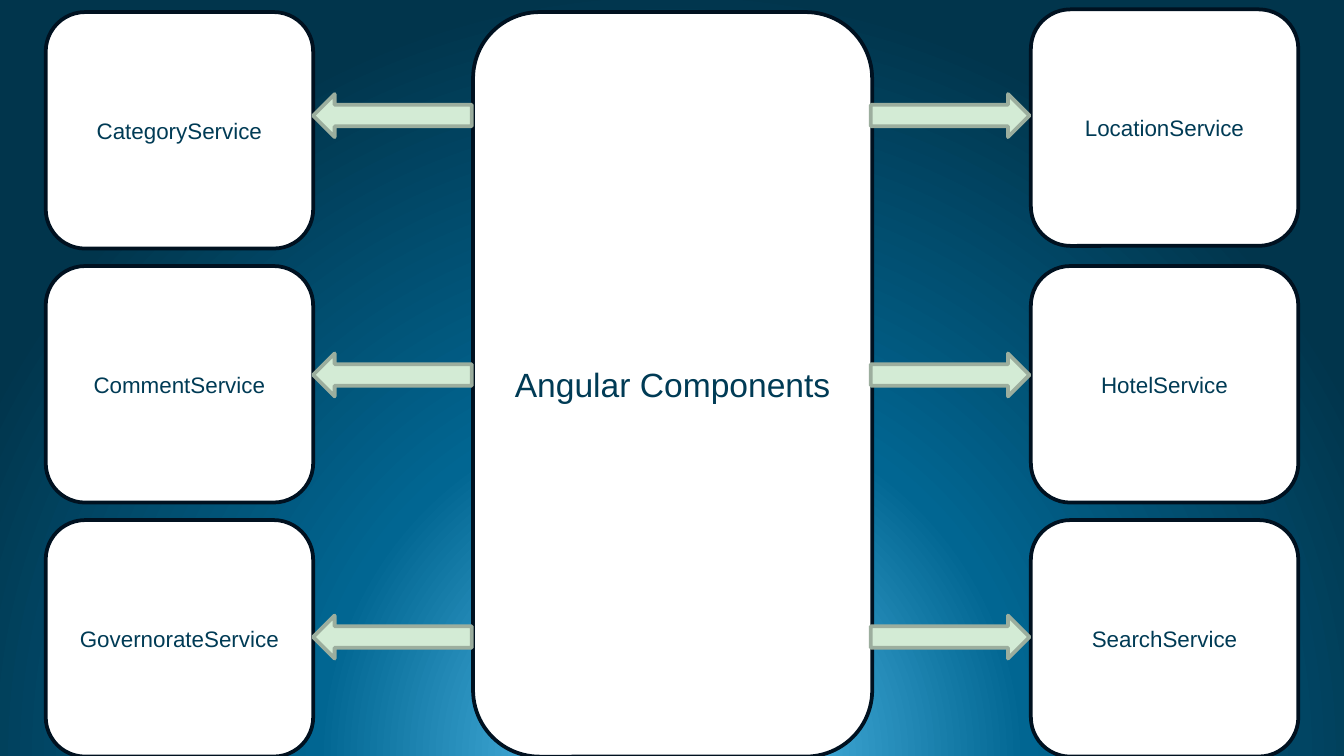
from dataclasses import dataclass

from lxml.etree import SubElement
from pptx import Presentation
from pptx.dml.color import RGBColor
from pptx.enum.shapes import MSO_SHAPE as SHAPE
from pptx.enum.text import MSO_ANCHOR as ANCHOR, PP_ALIGN as ALIGN
from pptx.oxml.ns import qn
from pptx.util import Inches, Pt


@dataclass(frozen=True)
class Theme:
    font: str = "Arial"
    text: str = "003B55"
    box: str = "FFFFFF"
    box_line: str = "001120"
    arrow: str = "D3EBD5"
    arrow_line: str = "9CAE9E"
    glow: tuple = ((0, "67D0FE"), (46, "016692"), (100, "01354C"))
    label_size: int = 12
    title_size: int = 18
    line_width: int = 2


class Diagram:
    """Draws styled diagram elements on one slide."""

    def __init__(self, slide, theme):
        self.slide = slide
        self.theme = theme

    def background(self):
        self.slide.background.fill.gradient()
        grad = next(self.slide.element.iter(qn("a:gradFill")))
        for child in list(grad):
            grad.remove(child)
        stops = SubElement(grad, qn("a:gsLst"))
        for pos, color in self.theme.glow:
            stop = SubElement(stops, qn("a:gs"), pos=str(pos * 1000))
            SubElement(stop, qn("a:srgbClr"), val=color)
        circle = SubElement(grad, qn("a:path"), path="circle")
        SubElement(circle, qn("a:fillToRect"), l="50000", t="130000", r="50000", b="-30000")

    def shape(self, kind, left, top, width, height, fill, line):
        sp = self.slide.shapes.add_shape(
            kind, Inches(left), Inches(top), Inches(width), Inches(height))
        sp.shadow.inherit = False
        sp.fill.solid()
        sp.fill.fore_color.rgb = RGBColor.from_string(fill)
        sp.line.color.rgb = RGBColor.from_string(line)
        sp.line.width = Pt(self.theme.line_width)
        return sp

    def box(self, text, left, top, width, height, size):
        sp = self.shape(SHAPE.ROUNDED_RECTANGLE, left, top, width, height,
                        self.theme.box, self.theme.box_line)
        tf = sp.text_frame
        tf.word_wrap = True
        tf.vertical_anchor = ANCHOR.MIDDLE
        p = tf.paragraphs[0]
        p.alignment = ALIGN.CENTER
        r = p.add_run()
        r.text = text
        r.font.name = self.theme.font
        r.font.size = Pt(size)
        r.font.color.rgb = RGBColor.from_string(self.theme.text)

    def arrow(self, left, top, mirrored):
        sp = self.shape(SHAPE.LEFT_ARROW, left, top, 1.18, 0.32,
                        self.theme.arrow, self.theme.arrow_line)
        if mirrored:
            sp.element.spPr.find(qn("a:xfrm")).set("flipH", "1")


def main():
    prs = Presentation()
    prs.slide_width = Inches(10)
    prs.slide_height = prs.slide_width * 9 // 16
    theme = Theme()
    diagram = Diagram(prs.slides.add_slide(prs.slide_layouts[6]), theme)
    diagram.background()

    columns = (
        (0.34, (0.09, 1.98, 3.87), ("CategoryService", "CommentService", "GovernorateService")),
        (7.67, (0.07, 1.98, 3.87), ("LocationService", "HotelService", "SearchService")),
    )
    for left, tops, services in columns:
        for top, service in zip(tops, services):
            diagram.box(service, left, top, 1.99, 1.76, theme.label_size)

    diagram.box("Angular Components", 3.52, 0.09, 2.97, 5.54, theme.title_size)

    for left, mirrored in ((2.33, False), (6.48, True)):
        for top in (0.7, 2.63, 4.58):
            diagram.arrow(left, top, mirrored)

    prs.save("out.pptx")


if __name__ == "__main__":
    main()
